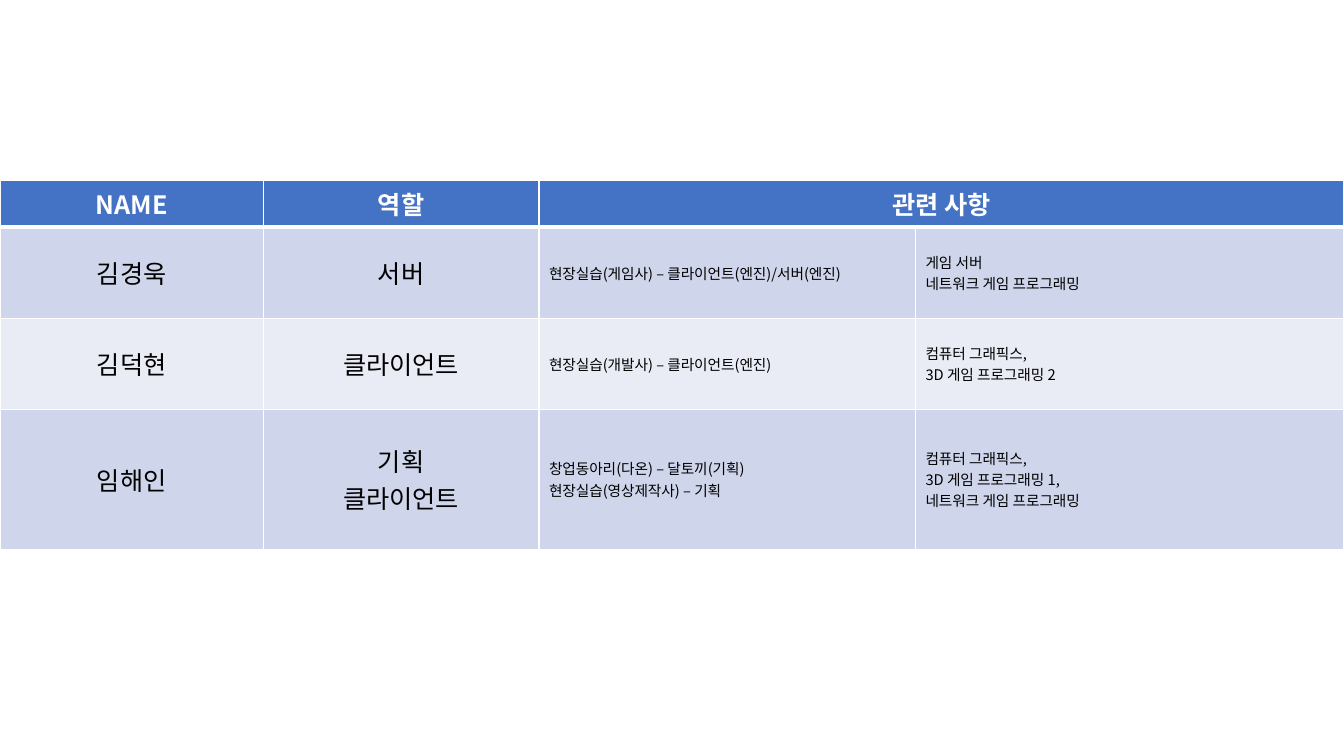
from lxml import etree
from pptx import Presentation
from pptx.dml.color import RGBColor
from pptx.enum.text import MSO_ANCHOR, PP_ALIGN
from pptx.oxml.ns import qn
from pptx.util import Pt

MIDDLE, TOP = MSO_ANCHOR.MIDDLE, MSO_ANCHOR.TOP
CENTER, LEFT = PP_ALIGN.CENTER, PP_ALIGN.LEFT

THEME = {
    "font": "Noto Sans CJK KR",
    "large": 18,
    "small": 10.5,
    "head": "4472C4",
    "bands": ["CFD5EA", "E9EBF5"],
    "light": "FFFFFF",
    "dark": "000000",
}
WIDTHS = [188, 197, 269, 306]
HEIGHTS = [23, 65, 65, 100]
ROWS = [
    [["NAME"], ["역할"], ["관련 사항"], []],
    [["김경욱"], ["서버"],
     ["현장실습(게임사) – 클라이언트(엔진)/서버(엔진)"],
     ["게임 서버", "네트워크 게임 프로그래밍"]],
    [["김덕현"], ["클라이언트"],
     ["현장실습(개발사) – 클라이언트(엔진)"],
     ["컴퓨터 그래픽스,", "3D 게임 프로그래밍 2"]],
    [["임해인"], ["기획", "클라이언트"],
     ["창업동아리(다온) – 달토끼(기획)", "현장실습(영상제작사) – 기획"],
     ["컴퓨터 그래픽스,", "3D 게임 프로그래밍 1,", "네트워크 게임 프로그래밍"]],
]


def edge(cell, side, width):
    props = cell._tc.get_or_add_tcPr()
    line = etree.SubElement(props, qn("a:ln" + side), w=str(Pt(width)))
    fill = etree.SubElement(line, qn("a:solidFill"))
    etree.SubElement(fill, qn("a:srgbClr"), val=THEME["light"])


def write(para, text, size, color, bold):
    run = para.add_run()
    run.text = text
    font = run.font
    font.size = Pt(size)
    font.bold = bold
    font.color.rgb = RGBColor.from_string(color)
    font.name = THEME["font"]
    etree.SubElement(run._r.get_or_add_rPr(), qn("a:ea"), typeface=THEME["font"])


deck = Presentation()
deck.slide_width, deck.slide_height = Pt(960), Pt(540)
slide = deck.slides.add_slide(deck.slide_layouts[6])

frame = slide.shapes.add_table(
    len(ROWS), len(WIDTHS), Pt(0), Pt(129), Pt(sum(WIDTHS)), Pt(sum(HEIGHTS)))
table = frame.table
for col, width in zip(table.columns, WIDTHS):
    col.width = Pt(width)
for row, height in zip(table.rows, HEIGHTS):
    row.height = Pt(height)
table.cell(0, 2).merge(table.cell(0, 3))

for r, row in enumerate(ROWS):
    head = r == 0
    back = THEME["head"] if head else THEME["bands"][(r - 1) % 2]
    color = THEME["light"] if head else THEME["dark"]
    for c, lines in enumerate(row):
        cell = table.cell(r, c)
        large = head or c < 2
        for side in "LRTB":
            thick = (head and side == "B") or (r == 1 and side == "T")
            edge(cell, side, 3 if thick else 1)
        cell.fill.solid()
        cell.fill.fore_color.rgb = RGBColor.from_string(back)
        cell.vertical_anchor = TOP if head else MIDDLE
        text = cell.text_frame
        for i, line in enumerate(lines):
            para = text.add_paragraph() if i else text.paragraphs[0]
            para.alignment = CENTER if large else LEFT
            size = THEME["large"] if large else THEME["small"]
            write(para, line, size, color, head)

deck.save("out.pptx")
